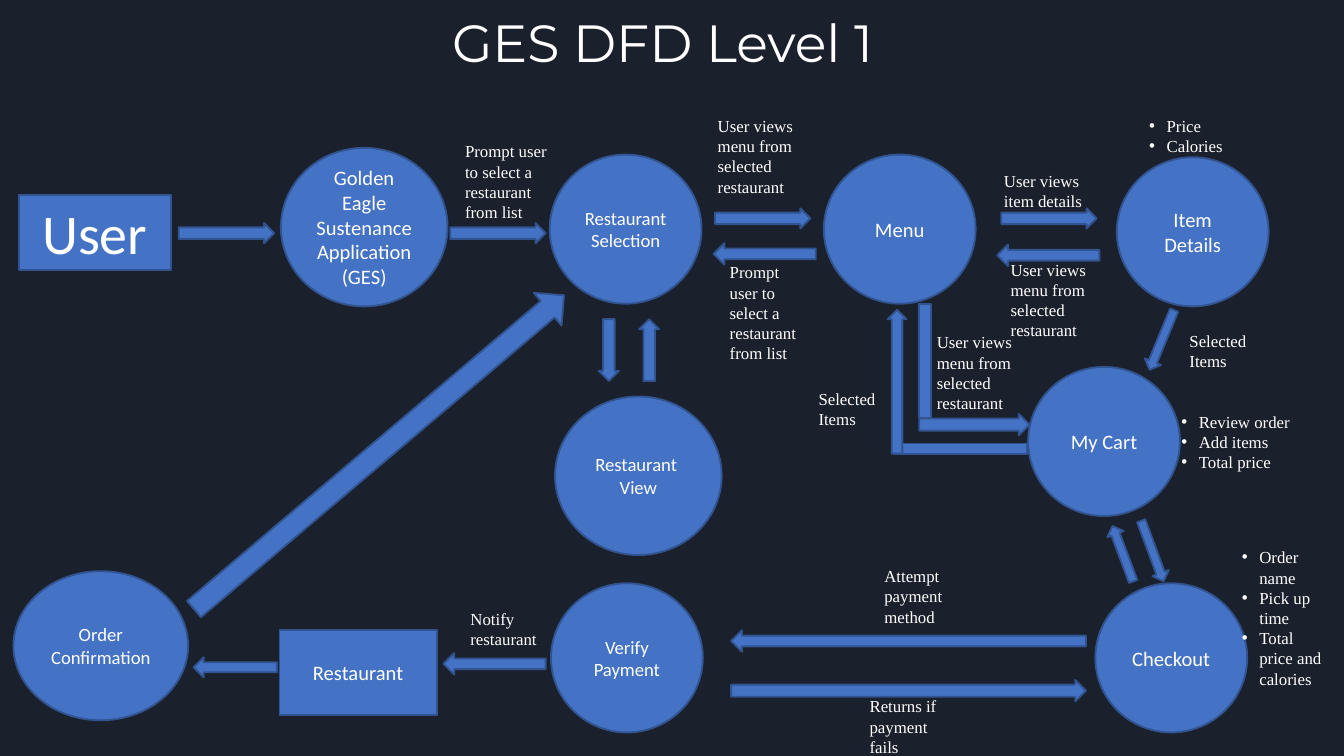
from pptx import Presentation
from pptx import util as u
from pptx.dml import color
from pptx.enum import shapes, text
from pptx.oxml import ns
from lxml import etree

SCALE = 9144
BLUE, EDGE, WHITE, DARK = "4472C4", "31538F", "FFFFFF", "1B212C"
KIND = shapes.MSO_SHAPE
OVAL, RECT = KIND.FLOWCHART_CONNECTOR, KIND.RECTANGLE
RIGHT, LEFT = KIND.RIGHT_ARROW, KIND.LEFT_ARROW
UP, DOWN = KIND.UP_ARROW, KIND.DOWN_ARROW
MID, MENU = (113, 111), "User views menu from selected restaurant"
PICK = "Prompt user to select a restaurant from list"
LONG, BACK, SHORT = (71, 15), (76, 16), (46, 15)


def px(n):
    return u.Emu(n * SCALE)


def rgb(code):
    return color.RGBColor.from_string(code)


def spot(box, x, y, size):
    return [px(n) for n in (box[0] + x, box[1] + y, *size)]


def style(item, values):
    for name, value in values.items():
        setattr(item, name, value)


def write(shape, lines, font, size, align, anchor):
    frame = shape.text_frame
    style(frame, {"word_wrap": True, "auto_size": text.MSO_AUTO_SIZE.NONE,
                  "vertical_anchor": anchor,
                  "margin_left": px(7), "margin_right": px(7),
                  "margin_top": px(4), "margin_bottom": px(4)})
    for i, line in enumerate(lines):
        par = frame.add_paragraph() if i else frame.paragraphs[0]
        par.alignment = align
        run = par.add_run()
        run.text = line
        style(run.font, {"name": font, "size": u.Pt(size), "bold": False})
        run.font.color.rgb = rgb(WHITE)
    return frame.paragraphs


def solid(slide, box, kind, x, y, size, turn=0):
    shape = slide.shapes.add_shape(kind, *spot(box, x, y, size))
    shape.rotation = turn
    shape.shadow.inherit = False
    shape.fill.solid()
    shape.fill.fore_color.rgb = rgb(BLUE)
    shape.line.color.rgb = rgb(EDGE)
    shape.line.width = u.Pt(1)
    if kind == RIGHT:
        shape.adjustments[0] = 0.565
    return shape


def node(slide, box, kind, x, y, size, points, *lines):
    shape = solid(slide, box, kind, x, y, size)
    write(shape, lines, "Calibri", points,
          text.PP_ALIGN.CENTER, text.MSO_ANCHOR.MIDDLE)


def label(slide, box, x, y, size, *lines):
    shape = slide.shapes.add_textbox(*spot(box, x, y, size))
    return write(shape, lines, "Times New Roman", 9,
                 text.PP_ALIGN.LEFT, text.MSO_ANCHOR.TOP)


def points(slide, box, x, y, size, *lines):
    for par in label(slide, box, x, y, size, *lines):
        props = par._p.get_or_add_pPr()
        props.set("marL", str(px(14)))
        props.set("indent", str(px(-13)))
        tint = etree.SubElement(props, ns.qn("a:buClr"))
        etree.SubElement(tint, ns.qn("a:srgbClr"), val=WHITE)
        etree.SubElement(props, ns.qn("a:buFont"), typeface="Arial")
        etree.SubElement(props, ns.qn("a:buChar"), char="•")


def title(slide, box):
    shape = slide.shapes.title
    style(shape, dict(zip(("left", "top", "width", "height"),
                          spot(box, 0, 0, box[2:]))))
    par = write(shape, ["GES DFD Level 1"], "Montserrat", 28,
                text.PP_ALIGN.CENTER, text.MSO_ANCHOR.MIDDLE)[0]
    par.line_spacing = 0.9


def entry(slide, box):
    node(slide, box, RECT, 14, 65, (113, 56), 30, "User")
    node(slide, box, OVAL, 209, 30, (124, 118), 11,
         "Golden Eagle Sustenance Application (GES)")
    node(slide, box, OVAL, 409, 35, MID, 10, "Restaurant Selection")
    node(slide, box, OVAL, 413, 215, (124, 118), 10, "Restaurant ", "View")
    for x in (133, 335):
        solid(slide, box, RIGHT, x, 86, LONG)
    for x, turn in ((430, 90), (460, 270)):
        solid(slide, box, RIGHT, x, 173, SHORT, turn)
    solid(slide, box, UP, 266, 76, (32, 361), 49.7)
    label(slide, box, 339, 21, (82, 92), PICK)


def browse(slide, box):
    node(slide, box, OVAL, 93, 35, MID, 11, "Menu")
    node(slide, box, OVAL, 311, 37, MID, 11, "Item Details")
    for x in (12, 225):
        solid(slide, box, RIGHT, x, 75, LONG)
    for x, y in ((11, 101), (222, 102)):
        solid(slide, box, LEFT, x, y, BACK)
    label(slide, box, 7, 2, (75, 69), MENU)
    label(slide, box, 16, 111, (73, 85), PICK)
    label(slide, box, 220, 43, (75, 39), "User views item details")
    label(slide, box, 225, 109, (75, 69), MENU)
    points(slide, box, 327, 2, (75, 39), "Price", "Calories")


def cart(slide, box):
    node(slide, box, OVAL, 165, 53, MID, 11, "My Cart")
    solid(slide, box, DOWN, 258, 9, (13, 48), 22.4)
    solid(slide, box, DOWN, 251, 166, (13, 48), 339.7)
    solid(slide, box, UP, 229, 170, (13, 44), 339.5)
    solid(slide, box, RECT, 84, 6, (9, 85))
    solid(slide, box, RECT, 111, 65, (8, 98), 90)
    solid(slide, box, RIGHT, 84, 88, (82, 16))
    solid(slide, box, RIGHT, 14, 57, (107, 14), 270)
    label(slide, box, 90, 23, (75, 69), MENU)
    for x, y in ((2, 65), (278, 22)):
        label(slide, box, x, y, (75, 39), "Selected Items")
    points(slide, box, 271, 82, (100, 85),
           "Review order", "Add items", "Total price")


def pay(slide, box):
    node(slide, box, OVAL, 815, 34, MID, 11, "Checkout")
    node(slide, box, OVAL, 410, 34, MID, 10, "Verify Payment")
    node(slide, box, RECT, 208, 69, (117, 63), 11, "Restaurant")
    node(slide, box, OVAL, 10, 25, (130, 111), 10, "Order Confirmation")
    solid(slide, box, LEFT, 544, 69, (264, 16))
    solid(slide, box, RIGHT, 544, 106, (264, 16))
    solid(slide, box, LEFT, 330, 86, BACK)
    solid(slide, box, LEFT, 144, 89, (62, 15))
    label(slide, box, 651, 17, (75, 54), "Attempt payment method")
    label(slide, box, 640, 114, (75, 54), "Returns if payment fails")
    label(slide, box, 343, 49, (75, 39), "Notify restaurant")
    points(slide, box, 916, 3, (75, 131),
           "Order name", "Pick up time", "Total price and calories")


def main():
    deck = Presentation()
    wide = px(1000)
    style(deck, {"slide_width": wide, "slide_height": wide * 9 // 16})
    slide = deck.slides.add_slide(deck.slide_layouts[5])
    back = slide.background.fill
    back.solid()
    back.fore_color.rgb = rgb(DARK)
    title(slide, (305, -8, 376, 84))
    entry(slide, (0, 80, 540, 340))
    browse(slide, (520, 80, 430, 180))
    cart(slide, (600, 220, 380, 220))
    pay(slide, (0, 400, 1000, 162))
    deck.save("out.pptx")


if __name__ == "__main__":
    main()
